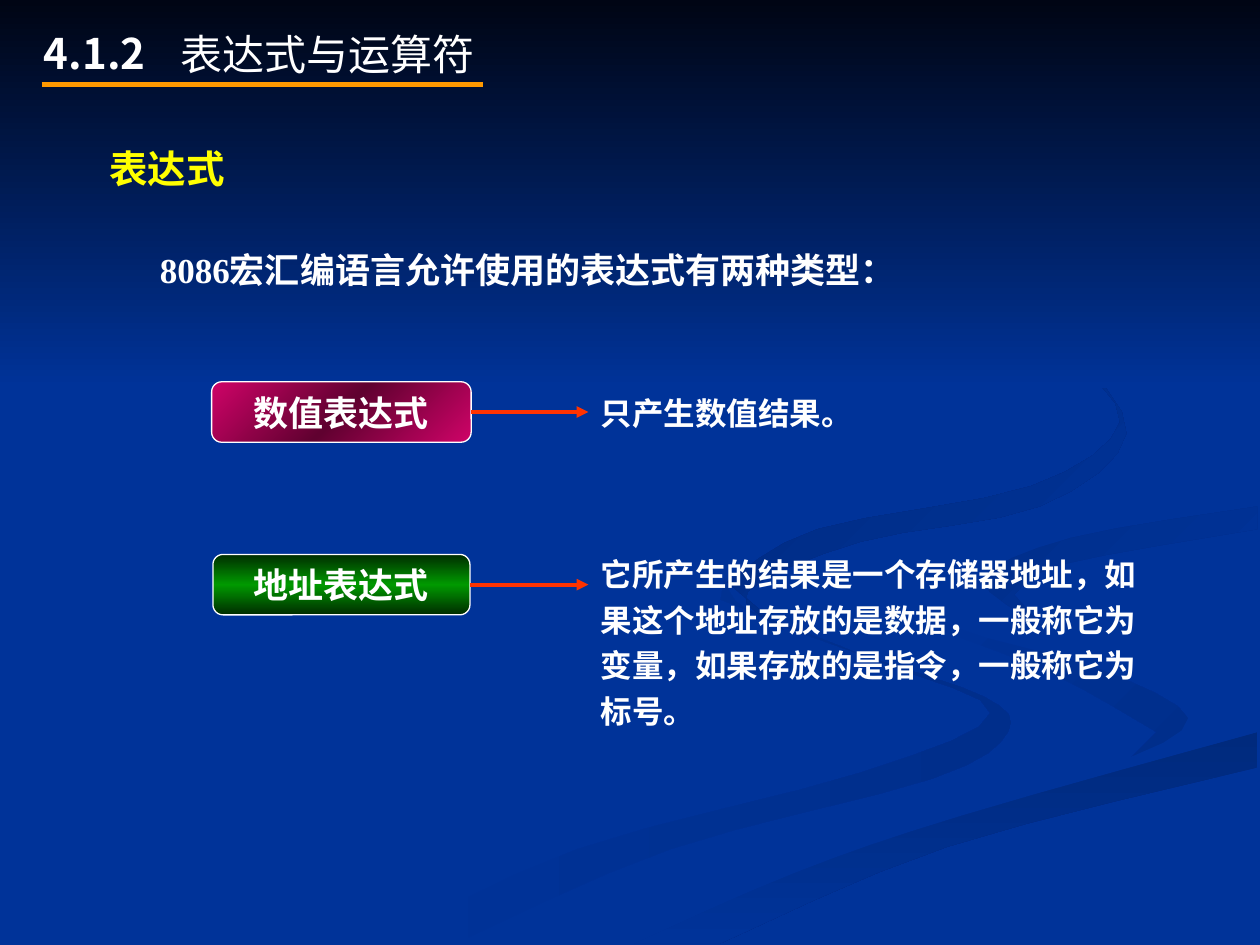
from copy import deepcopy
from lxml import etree
from pptx import Presentation
from pptx.dml.color import RGBColor
from pptx.enum.shapes import MSO_CONNECTOR, MSO_SHAPE
from pptx.enum.text import MSO_ANCHOR, MSO_AUTO_SIZE, PP_ALIGN
from pptx.oxml.ns import qn
from pptx.util import Inches, Pt

TOP, MIDDLE = MSO_ANCHOR.TOP, MSO_ANCHOR.MIDDLE
LEFT, CENTER = PP_ALIGN.LEFT, PP_ALIGN.CENTER
STRAIGHT = MSO_CONNECTOR.STRAIGHT
RECTANGLE, ROUNDED = MSO_SHAPE.RECTANGLE, MSO_SHAPE.ROUNDED_RECTANGLE
RIGHT_SIDE = 3

WHITE = RGBColor.from_string("FFFFFF")
YELLOW = RGBColor.from_string("FFFF00")
ORANGE = RGBColor.from_string("FF9900")
RED = RGBColor.from_string("FF3300")
BLUE = RGBColor.from_string("003399")
NIGHT = RGBColor.from_string("000514")
SHADE = RGBColor.from_string("002E8B")
DEEP_SHADE = RGBColor.from_string("002A7D")
PINK, WINE = RGBColor.from_string("CF0368"), RGBColor.from_string("600130")
GREEN, FOREST = RGBColor.from_string("009900"), RGBColor.from_string("002C00")

SANS, SERIF, ARIAL = "Noto Sans CJK SC", "Times New Roman", "Arial"

# Background ribbons: colours, clockwise angle, curved edges joined in turn
RIBBONS = [
    ([BLUE, SHADE], 0, [
        [(5.75, 4.59), (5.94, 4.85), (6.82, 5.19), (7.81, 5.53), (8, 5.81),
         (7.4, 6.18), (5.32, 6.74), (3.61, 7.49)],
        [(3, 7.49), (4.58, 6.74), (6.84, 6.13), (7.86, 5.66), (6.97, 5.25),
         (5.72, 4.76)]]),
    ([BLUE, SHADE], 45, [
        [(7.24, 4.64), (7.58, 4.98), (8.7, 5.3), (9.43, 5.7), (8.94, 6.05)],
        [(9.18, 5.81), (8.38, 5.36), (7.46, 5)]]),
    ([DEEP_SHADE, BLUE], 90, [
        [(5.03, 7.49), (6.3, 6.93), (7.64, 6.47), (9.98, 5.81)],
        [(9.98, 6.09), (7.52, 6.72), (5.71, 7.49)]]),
    ([BLUE], 0, [
        [(7.25, 4.64), (7.59, 4.98), (8.71, 5.3), (9.43, 5.7), (8.69, 6.11),
         (6.63, 6.68), (4.77, 7.49)],
        [(5.03, 7.49), (6.3, 6.93), (7.64, 6.47), (9.98, 5.81)],
        [(9.98, 5.38), (8.32, 4.98), (7.81, 4.63), (8.5, 4.27), (9.98, 4.02)],
        [(9.98, 3.87), (8.3, 4.15), (7.42, 4.39)]]),
    ([SHADE, BLUE], 45, [
        [(9.98, 4.02), (8.5, 4.27), (7.81, 4.6), (8.26, 4.96)],
        [(8.05, 4.72), (8.43, 4.48), (9.98, 4.2)]]),
    ([DEEP_SHADE, BLUE], 45, [
        [(7.62, 2.33), (8.43, 2.75), (8.94, 3.44), (8.25, 4.02), (6.83, 4.3),
         (5.93, 4.7), (6.22, 5)],
        [(5.77, 4.62), (6.49, 4.2), (8.18, 3.86), (8.89, 3.35), (8.46, 2.79)]]),
]
STEPS = 4  # straight pieces between two points of a curved edge

TITLE = ("表达式与运算符", (1.33, 0.09, 2.67, 0.67), MIDDLE,
         dict(size=Pt(24), name=SANS, bold=False), WHITE)
LABELS = [
    ("4.1.2", (0.25, 0.17, 1.08, 0.5), TOP,
     dict(size=Pt(24), name=SANS, bold=True), WHITE),
    ("表达式", (0.77, 1.13, 1.31, 0.41), MIDDLE,
     dict(size=Pt(22), name=SERIF, bold=True), YELLOW),
    ("8086宏汇编语言允许使用的表达式有两种类型：", (1.17, 1.92, 6.33, 0.44), TOP,
     dict(size=Pt(20), name=SERIF, bold=True), WHITE),
]
# Expression kinds: name, box, gradient, angle, meaning, its box, line spacing
KINDS = [
    ("数值表达式", (1.68, 3.03, 2.06, 0.48), [PINK, WINE, PINK], 45,
     "只产生数值结果。", (4.67, 3.08, 2.77, 0.4), 1.0),
    ("地址表达式", (1.69, 4.4, 2.04, 0.48), [FOREST, GREEN, FOREST], 90,
     "它所产生的结果是一个存储器地址，如果这个地址存放的是数据，一般称它为变量，"
     "如果存放的是指令，一般称它为标号。", (4.67, 4.3, 4.67, 1.54), 1.2),
]
KIND_FONT = dict(size=Pt(20), name=ARIAL, bold=True)
MEANING_FONT = dict(size=Pt(18), name=SERIF, bold=True)


def curve(points):
    """Catmull-Rom curve through the points, in EMU."""
    padded = [points[0], *points, points[-1]]
    result = []
    for knots in zip(padded, padded[1:], padded[2:], padded[3:]):
        for step in range(STEPS):
            t = step / STEPS
            result.append(tuple(
                Inches(b + t * (c - a) / 2
                       + t ** 2 * (2 * a - 5 * b + 4 * c - d) / 2
                       + t ** 3 * (3 * b - a - 3 * c + d) / 2)
                for a, b, c, d in zip(*knots)))
    return result + [tuple(map(Inches, points[-1]))]


def paint(sp, colors, angle):
    sp.shadow.inherit = False
    if len(colors) == 1:
        sp.fill.solid()
        sp.fill.fore_color.rgb = colors[0]
        return
    sp.fill.gradient()
    sp.fill.gradient_angle = (360 - angle) % 360
    stops = sp._element.spPr.find(".//" + qn("a:gsLst"))
    for _ in colors[2:]:
        stops.append(deepcopy(stops[-1]))
    for i, (stop, color) in enumerate(zip(sp.fill.gradient_stops, colors)):
        stop.color.rgb = color
        stop.position = i / (len(colors) - 1)


def write(sp, text, anchor, font, color, align=LEFT, spacing=1.0):
    tf = sp.text_frame
    tf.word_wrap, tf.auto_size = True, MSO_AUTO_SIZE.NONE
    tf.vertical_anchor = anchor
    p = tf.paragraphs[0]
    p.alignment, p.line_spacing = align, spacing
    r = p.add_run()
    r.text = text
    for key, value in font.items():
        setattr(r.font, key, value)
    r.font.color.rgb = color
    etree.SubElement(r._r.get_or_add_rPr(), qn("a:ea"), typeface=SANS)


def add_line(x1, y1, x2, y2, color, width):
    line = slide.shapes.add_connector(STRAIGHT, *map(Inches, (x1, y1, x2, y2)))
    line.line.color.rgb, line.line.width = color, Pt(width)
    etree.SubElement(line._element.spPr, qn("a:effectLst"))
    return line


def add_text(text, box, *style):
    write(slide.shapes.add_textbox(*map(Inches, box)), text, *style)


prs = Presentation()
prs.slide_width, prs.slide_height = Inches(10), Inches(7.5)
slide = prs.slides.add_slide(prs.slide_layouts[5])
slide.background.fill.solid()
slide.background.fill.fore_color.rgb = BLUE

# Background ribbons and the dark fade at the top
for colors, angle, edges in RIBBONS:
    outline = [point for edge in edges for point in curve(edge)]
    builder = slide.shapes.build_freeform(*outline[0])
    builder.add_line_segments(outline[1:], close=True)
    sp = builder.convert_to_shape()
    sp.line.fill.background()
    paint(sp, colors, angle)
fade = slide.shapes.add_shape(RECTANGLE, 0, 0, prs.slide_width, Inches(3.08))
fade.line.fill.background()
paint(fade, [NIGHT, BLUE], 90)

# Title, raised above the background, with its underline
title = slide.shapes.title
slide.shapes._spTree.append(title._element)
text, box, *style = TITLE
title.left, title.top, title.width, title.height = map(Inches, box)
write(title, text, *style)
add_line(0.33, 0.67, 3.83, 0.67, ORANGE, 3)

for label in LABELS:
    add_text(*label)

# Each kind of expression points to its meaning
for name, box, colors, angle, meaning, meaning_box, spacing in KINDS:
    sp = slide.shapes.add_shape(ROUNDED, *map(Inches, box))
    sp.line.color.rgb, sp.line.width = WHITE, Pt(0.75)
    paint(sp, colors, angle)
    write(sp, name, MIDDLE, KIND_FONT, WHITE, CENTER)
    add_text(meaning, meaning_box, TOP, MEANING_FONT, WHITE, LEFT, spacing)
    left, top, width, height = box
    y = top + height / 2
    arrow = add_line(left + width, y, meaning_box[0], y, RED, 2.25)
    arrow.begin_connect(sp, RIGHT_SIDE)
    etree.SubElement(arrow.line._get_or_add_ln(), qn("a:tailEnd"), type="triangle")

prs.save("out.pptx")
